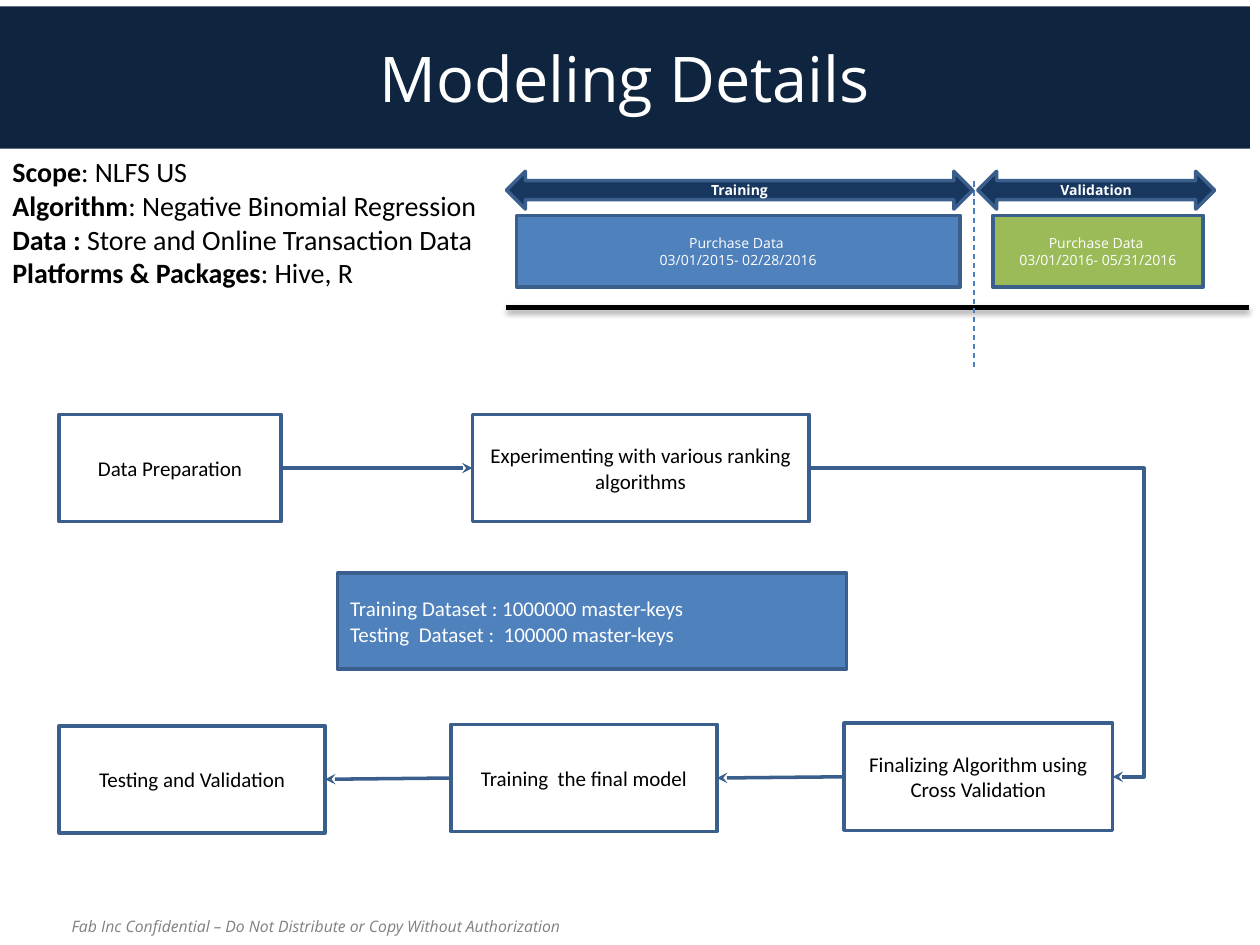
from lxml import etree
from pptx import Presentation
from pptx import util as u
from pptx.dml.color import RGBColor
from pptx.enum import dml, shapes, text
from pptx.oxml import parse_xml
from pptx.oxml.ns import nsdecls, qn

HUE = {"navy": "0F243E", "deep": "17375E", "blue": "4F81BD", "green": "9BBB59",
       "edge": "3A5F8C", "dash": "4B7EBC", "gray": "808080",
       "black": "000000", "white": "FFFFFF"}
RECT = shapes.MSO_SHAPE.RECTANGLE
ARROW = shapes.MSO_SHAPE.LEFT_RIGHT_ARROW
LINE = shapes.MSO_CONNECTOR.STRAIGHT
BENT = shapes.MSO_CONNECTOR.ELBOW
MID = text.PP_ALIGN.CENTER

deck = Presentation()
deck.slide_width, deck.slide_height = u.Inches(10), u.Inches(7.5)
slide = deck.slides.add_slide(deck.slide_layouts[5])
pool = slide.shapes


def write(shape, paras, size, face, hue, align=None, **form):
    """Fill a shape with paragraphs; each is a list of (words, bold) runs."""
    frame = shape.text_frame
    frame.word_wrap = True
    for i, runs in enumerate(paras):
        para = frame.paragraphs[0] if i == 0 else frame.add_paragraph()
        para.alignment = align
        for words, bold in runs:
            run = para.add_run()
            run.text = words
            look = {"size": u.Pt(size), "name": face, "bold": bold, **form}
            for key, value in look.items():
                setattr(run.font, key, value)
            run.font.color.rgb = RGBColor.from_string(HUE[hue])


def link(kind, ends, hue="edge", width=2, head=True):
    """Draw a connector between two points, with a stealth head if asked."""
    line = pool.add_connector(kind, *[u.Inches(n) for n in ends])
    line.line.color.rgb = RGBColor.from_string(HUE[hue])
    line.line.width = u.Pt(width)
    if head:
        etree.SubElement(line.line._get_or_add_ln(), qn("a:tailEnd"), type="stealth")
    etree.SubElement(line._element.spPr, qn("a:effectLst"))
    return line


# Title band
title = pool.title
spot = {"left": 0, "top": 0.05, "width": 9.92, "height": 1.13}
for key, value in spot.items():
    setattr(title, key, u.Inches(value))
title.fill.solid()
title.fill.fore_color.rgb = RGBColor.from_string(HUE["navy"])
title.text_frame.vertical_anchor = text.MSO_ANCHOR.MIDDLE
write(title, [[("Modeling Details", False)]], 36, "Open Sans", "white", MID)

# Footer and scope notes
foot = pool.add_textbox(*[u.Inches(n) for n in (0.47, 7.23, 9.24, 0.25)])
write(foot, [[("Fab Inc Confidential – Do Not Distribute or Copy Without Authorization",
               False)]], 9, "Open Sans", "gray", italic=True)

facts = [("Scope", ": NLFS US"),
         ("Algorithm", ": Negative Binomial Regression"),
         ("Data : ", "Store and Online Transaction Data"),
         ("Platforms & Packages", ": Hive, R")]
notes = pool.add_textbox(*[u.Inches(n) for n in (0, 1.18, 4.45, 1.18)])
write(notes, [[(name, True), (value, False)] for name, value in facts],
      16, "Calibri", "black")

# Timeline axis and split
axis = link(LINE, (4.02, 2.44, 9.91, 2.44), "black", 3, False)
axis._element.spPr.find(qn("a:effectLst")).append(parse_xml(
    f'<a:outerShdw {nsdecls("a")} blurRad="{u.Pt(3.1)}" dist="{u.Pt(1.8)}" '
    'dir="5400000" rotWithShape="0"><a:srgbClr val="000000">'
    '<a:alpha val="35000"/></a:srgbClr></a:outerShdw>'))
split = link(LINE, (7.73, 1.44, 7.73, 2.92), "dash", 0.75, False)
split.line.dash_style = dml.MSO_LINE.DASH

# Boxes: key, preset, place, fill, words, size, face, colour, bold, align
calm = (12, "Calibri", "black", False, MID)
tiny = (8, "Open Sans", "white", False, MID)
bold = (8, "Open Sans", "white", True, MID)
data = (12, "Calibri", "white", False, text.PP_ALIGN.JUSTIFY)
items = [
    ("prep", RECT, (0.47, 3.29, 1.76, 0.85), None, ["Data Preparation"], calm),
    ("rank", RECT, (3.75, 3.29, 2.67, 0.85), None,
     ["Experimenting with various ranking algorithms"], calm),
    ("final", RECT, (6.7, 5.74, 2.13, 0.85), None,
     ["Finalizing Algorithm using Cross Validation"], calm),
    ("train", RECT, (3.58, 5.75, 2.11, 0.85), None, ["Training  the final model"], calm),
    ("test", RECT, (0.47, 5.76, 2.11, 0.85), None, ["Testing and Validation"], calm),
    ("span1", ARROW, (4.02, 1.36, 3.7, 0.3), "deep", ["Training"], bold),
    ("span2", ARROW, (7.76, 1.36, 1.88, 0.3), "deep", ["Validation"], bold),
    ("data1", RECT, (4.1, 1.71, 3.52, 0.57), "blue",
     ["Purchase Data ", "03/01/2015- 02/28/2016"], tiny),
    ("data2", RECT, (7.88, 1.71, 1.67, 0.57), "green",
     ["Purchase Data ", "03/01/2016- 05/31/2016"], tiny),
    ("sets", RECT, (2.68, 4.55, 4.04, 0.76), "blue",
     ["Training Dataset : 1000000 master-keys ",
      "Testing  Dataset :  100000 master-keys"], data),
]
boxes = {}
for key, kind, place, fill, lines, (size, face, hue, heavy, align) in items:
    box = boxes[key] = pool.add_shape(kind, *[u.Inches(n) for n in place])
    box.shadow.inherit = False
    if fill:
        box.fill.solid()
        box.fill.fore_color.rgb = RGBColor.from_string(HUE[fill])
    else:
        box.fill.background()
    box.line.color.rgb = RGBColor.from_string(HUE["edge"])
    box.line.width = u.Pt(2)
    box.text_frame.vertical_anchor = text.MSO_ANCHOR.MIDDLE
    write(box, [[(words, heavy)] for words in lines], size, face, hue, align)

# Flow: connection sites on a rectangle are 1 left, 3 right
flow = [("prep", 3, "rank", 1, LINE), ("rank", 3, "final", 3, BENT),
        ("final", 1, "train", 3, LINE), ("train", 1, "test", 3, LINE)]
for start, out, end, into, kind in flow:
    line = link(kind, (0, 0, 1, 1))
    line.begin_connect(boxes[start], out)
    line.end_connect(boxes[end], into)
    if kind == BENT:
        bend = line._element.spPr.find(qn("a:prstGeom")).get_or_add_avLst()
        etree.SubElement(bend, qn("a:gd"), name="adj1", fmla="val 110300")

deck.save("out.pptx")
